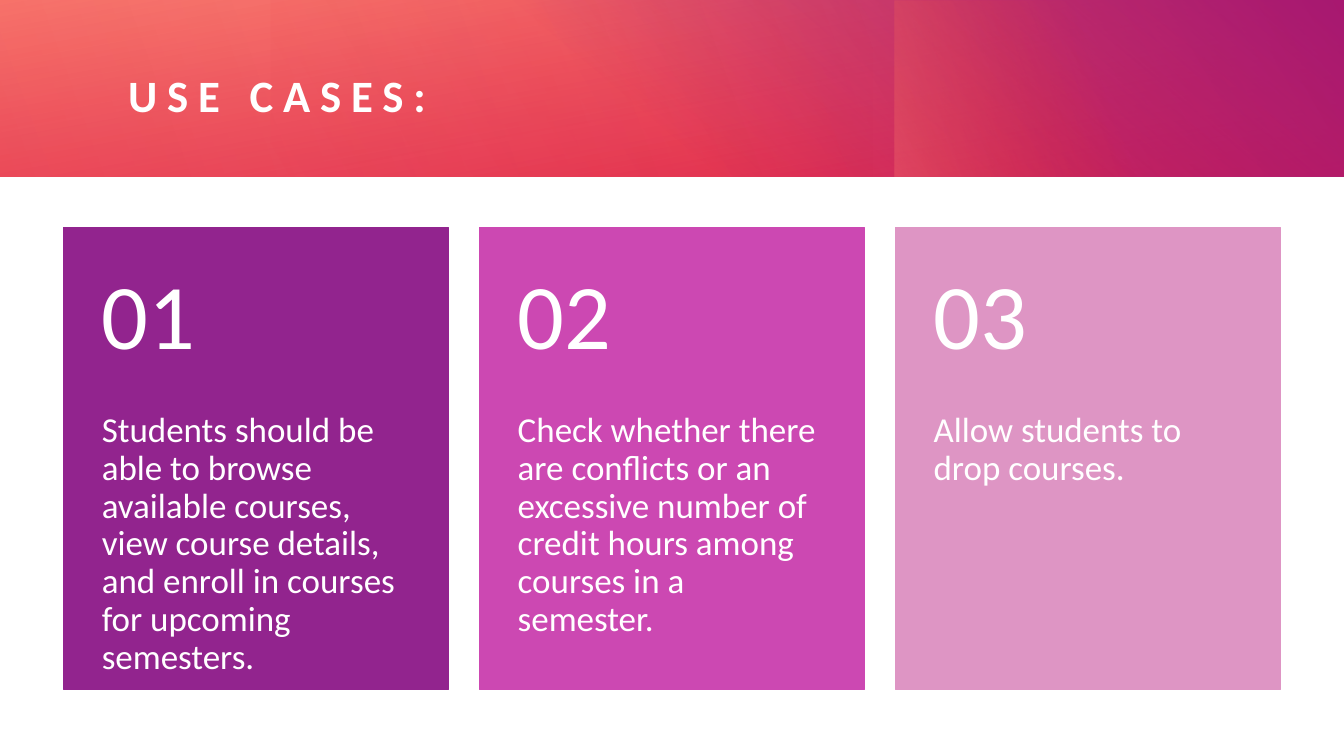
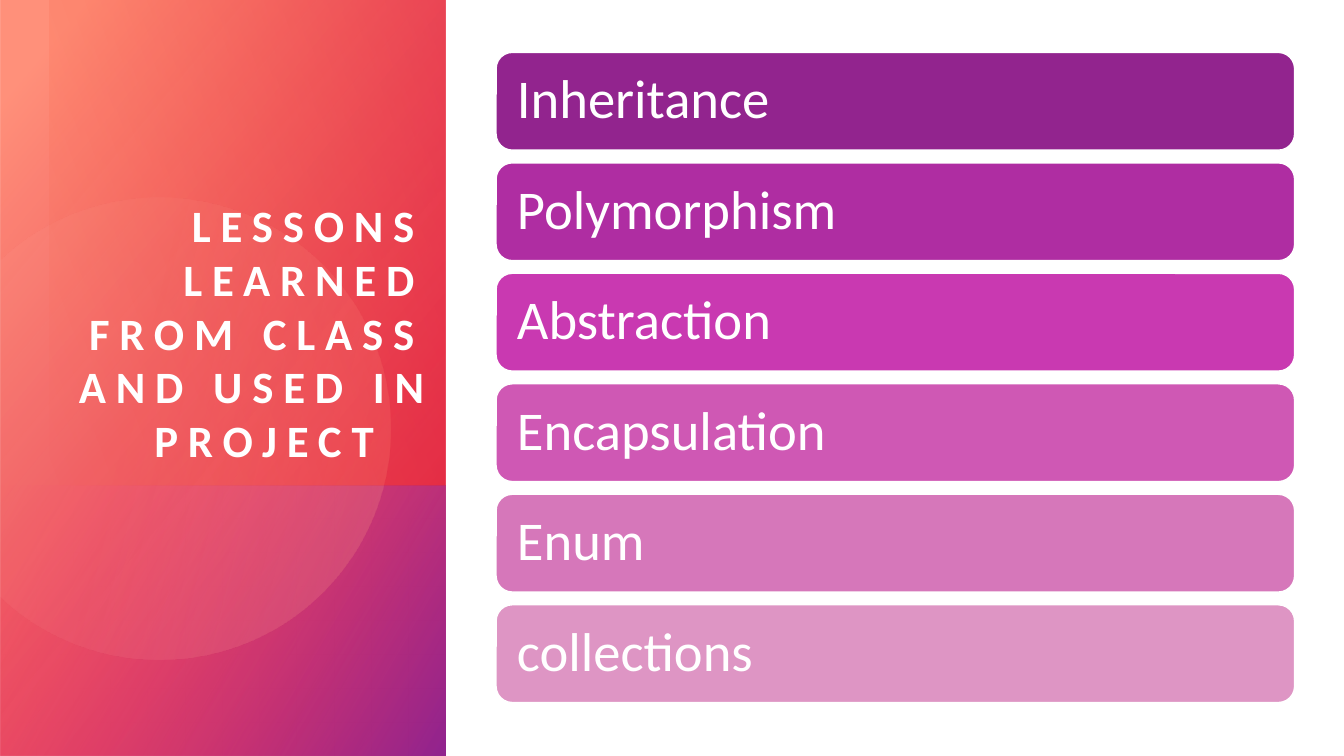
from dataclasses import dataclass
from math import acos, cos, sin

from lxml.etree import SubElement
from pptx import Presentation
from pptx.dml.color import RGBColor
from pptx.enum.shapes import MSO_SHAPE as Shape
from pptx.enum.text import MSO_ANCHOR as Anchor, PP_ALIGN as Align
from pptx.oxml.ns import qn
from pptx.util import Inches, Pt


@dataclass(frozen=True)
class Theme:
    font: str = "Calibri"
    white: str = "FFFFFF"
    coral: str = "FF907A"
    red: str = "DA002F"
    orange: str = "FE4A00"
    purple: str = "92248E"
    pink: str = "FF5076"
    blush: str = "FFBCAF"
    title_size: int = 32
    title_tracking: int = 7
    number_size: int = 66
    card_size: int = 25
    lesson_size: int = 39


THEME = Theme()
SLIDE_WIDTH, SLIDE_HEIGHT = 13.33, 7.5
BAND_HEIGHT, PANEL_WIDTH = 1.75, 4.42

USE_CASES_TITLE = "USE CASES:"
USE_CASES = [
    ("01", "92248E", "Students should be able to browse available courses, "
     "view course details, and enroll in courses for upcoming semesters."),
    ("02", "CC48B2", "Check whether there are conflicts or an excessive "
     "number of credit hours among courses in a semester."),
    ("03", "DE95C4", "Allow students to drop courses."),
]

# The last title line stands in from the right edge.
LESSONS_TITLE = ["LESSONS LEARNED FROM CLASS AND USED IN", "PROJECT"]
LAST_LINE_INDENT = 0.5
LESSONS = [
    ("Inheritance", "92248E"),
    ("Polymorphism", "AF2DA2"),
    ("Abstraction", "C939B1"),
    ("Encapsulation", "CF58B4"),
    ("Enum", "D677BA"),
    ("collections", "DE95C4"),
]

# Each layer: frame, rotation, flipped, clockwise gradient angle,
# and two stops of (position %, colour, opacity %).
BAND_LAYERS = [
    ((0, 0, SLIDE_WIDTH, BAND_HEIGHT), 0, False, 260,
     [(0, THEME.red, 83), (100, THEME.coral, 100)]),
    ((4.81, 0, 8.52, BAND_HEIGHT), 0, False, 310,
     [(22, THEME.purple, 0), (99, THEME.purple, 100)]),
    ((9.87, -0.99, BAND_HEIGHT, 3.74), 270, False, 250,
     [(45, THEME.orange, 0), (99, THEME.coral, 33)]),
    ((2.68, 0, 10.65, BAND_HEIGHT), 180, False, 330,
     [(0, THEME.red, 30), (99, THEME.red, 0)]),
    ((0, 0, 8.65, BAND_HEIGHT), 0, False, 340,
     [(0, THEME.red, 21), (99, THEME.red, 0)]),
]
PANEL_BACK_LAYERS = [
    ((-1.54, 1.54, SLIDE_HEIGHT, PANEL_WIDTH), 270, True, 50,
     [(8, THEME.coral, 100), (100, THEME.red, 89)]),
    ((0.86, 3.95, 2.69, PANEL_WIDTH), 270, True, 60,
     [(0, THEME.pink, 0), (99, THEME.purple, 100)]),
]
PANEL_FRONT_LAYERS = [
    ((0.05, 0.45, 4.81, 3.92), 90, True, 110,
     [(0, THEME.red, 29), (100, THEME.orange, 0)]),
]
CIRCLE_CENTER, CIRCLE_RADIUS = (1.58, 4.25), 2.29
CIRCLE_STOPS = [(36, THEME.blush, 6), (100, THEME.coral, 26)]


def color(hex_code):
    return RGBColor.from_string(hex_code)


def paint_gradient(shape, angle, stops):
    shape.shadow.inherit = False
    shape.line.fill.background()
    shape.fill.gradient()
    shape.fill.gradient_angle = (360 - angle) % 360
    for stop, (position, hex_code, _) in zip(shape.fill.gradient_stops, stops):
        stop.position = position / 100
        stop.color.rgb = color(hex_code)
    fills = shape.element.spPr.iter(qn("a:srgbClr"))
    for fill, (_, _, opacity) in zip(list(fills), stops):
        SubElement(fill, qn("a:alpha")).set("val", str(opacity * 1000))


def add_layers(page, layers):
    for frame, rotation, flipped, angle, stops in layers:
        layer = page.shapes.add_shape(Shape.RECTANGLE, *map(Inches, frame))
        layer.rotation = rotation
        if flipped:
            layer.element.spPr.find(qn("a:xfrm")).set("flipH", "1")
        paint_gradient(layer, angle, stops)


def add_clipped_circle(page):
    """Draw the circle, cut off at the left edge of the slide."""
    center_x, center_y = CIRCLE_CENTER
    limit = acos(-center_x / CIRCLE_RADIUS)
    steps = 120
    angles = [limit * (2 * step / steps - 1) for step in range(steps + 1)]
    points = [(Inches(center_x + CIRCLE_RADIUS * cos(angle)),
               Inches(center_y + CIRCLE_RADIUS * sin(angle)))
              for angle in angles]
    outline = page.shapes.build_freeform(*points[0])
    outline.add_line_segments(points[1:], close=True)
    paint_gradient(outline.convert_to_shape(), 14, CIRCLE_STOPS)


def add_block(page, kind, frame, fill, line):
    block = page.shapes.add_shape(kind, *map(Inches, frame))
    block.shadow.inherit = False
    block.fill.solid()
    block.fill.fore_color.rgb = color(fill)
    block.line.color.rgb = color(line)
    block.line.width = Pt(1)
    return block


def write(shape, lines, size, insets=(0, 0, 0, 0), anchor=Anchor.MIDDLE,
          align=Align.LEFT, spacing=0.9, bold=False):
    """Fill a shape with white text; insets run left, top, right, bottom."""
    frame = shape.text_frame
    frame.text = "\n".join(lines)
    frame.word_wrap = True
    frame.vertical_anchor = anchor
    (frame.margin_left, frame.margin_top,
     frame.margin_right, frame.margin_bottom) = map(Inches, insets)
    for para in frame.paragraphs:
        para.alignment = align
        para.line_spacing = spacing
        for span in para.runs:
            span.font.name = THEME.font
            span.font.size = Pt(size)
            span.font.bold = bold
            span.font.color.rgb = color(THEME.white)
    return frame


def add_text(page, frame, lines, size, **style):
    box = page.shapes.add_textbox(*map(Inches, frame))
    return write(box, lines, size, **style)


def add_title(page, frame, lines, **style):
    title = add_text(page, frame, lines, THEME.title_size, spacing=1.0,
                     bold=True, **style)
    for para in title.paragraphs:
        for span in para.runs:
            tracking = str(THEME.title_tracking * 100)
            span.font._element.set("spc", tracking)
    return title


def build_use_cases(page):
    add_layers(page, BAND_LAYERS)
    add_title(page, (1.27, 0.41, 11.35, 1.06), [USE_CASES_TITLE])

    left, right, top = 0.63, 12.7, 2.26
    width, height, number_height = 3.82, 4.58, 1.83
    pitch = (right - left - width) / (len(USE_CASES) - 1)
    for index, (number, fill, text) in enumerate(USE_CASES):
        x = left + index * pitch
        add_block(page, Shape.RECTANGLE, (x, top, width, height), fill, fill)
        add_text(page, (x, top + number_height, width, height - number_height),
                 [text], THEME.card_size, insets=(0.38, 0, 0.38, 0.36),
                 anchor=Anchor.TOP)
        add_text(page, (x, top, width, number_height), [number],
                 THEME.number_size, insets=(0.38, 0.18, 0.38, 0.18))


def build_lessons(page):
    add_layers(page, PANEL_BACK_LAYERS)
    add_clipped_circle(page)
    add_layers(page, PANEL_FRONT_LAYERS)
    title = add_title(page, (0.5, 0.95, 3.71, 3.68), LESSONS_TITLE,
                      anchor=Anchor.BOTTOM, align=Align.RIGHT)
    last_line = title.paragraphs[-1]._p.get_or_add_pPr()
    last_line.set("marR", str(Inches(LAST_LINE_INDENT)))

    left, top, bottom, width, height = 4.92, 0.52, 6.97, 7.92, 0.97
    pitch = (bottom - top - height) / (len(LESSONS) - 1)
    for index, (lesson, fill) in enumerate(LESSONS):
        bar = add_block(page, Shape.ROUNDED_RECTANGLE,
                        (left, top + index * pitch, width, height),
                        fill, THEME.white)
        write(bar, [lesson], THEME.lesson_size, insets=(0.16, 0.1, 0.16, 0.1))


def main():
    deck = Presentation()
    deck.slide_width = Inches(SLIDE_WIDTH)
    deck.slide_height = Inches(SLIDE_HEIGHT)
    blank = deck.slide_layouts[6]
    for build in (build_use_cases, build_lessons):
        build(deck.slides.add_slide(blank))
    deck.save("out.pptx")


if __name__ == "__main__":
    main()
